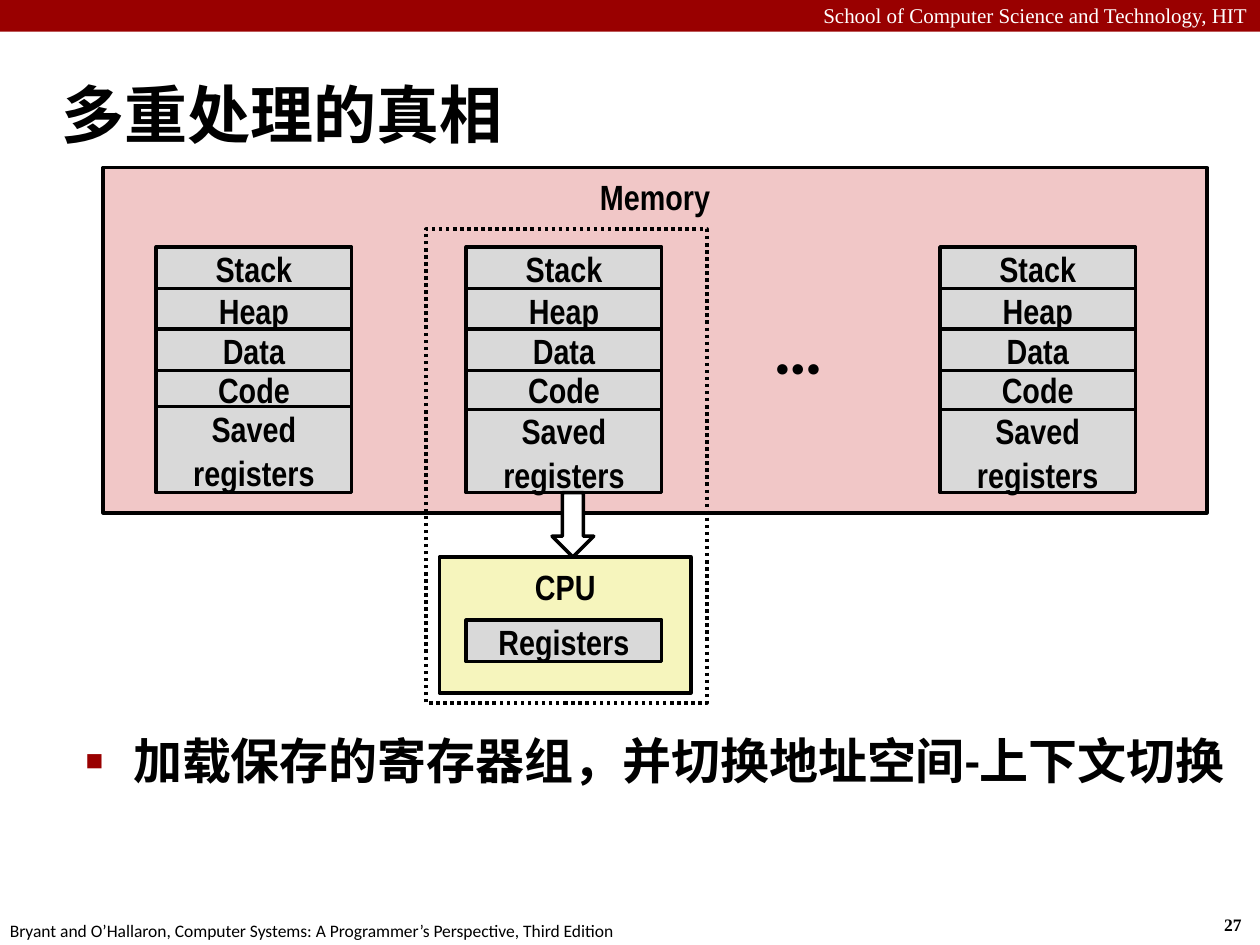
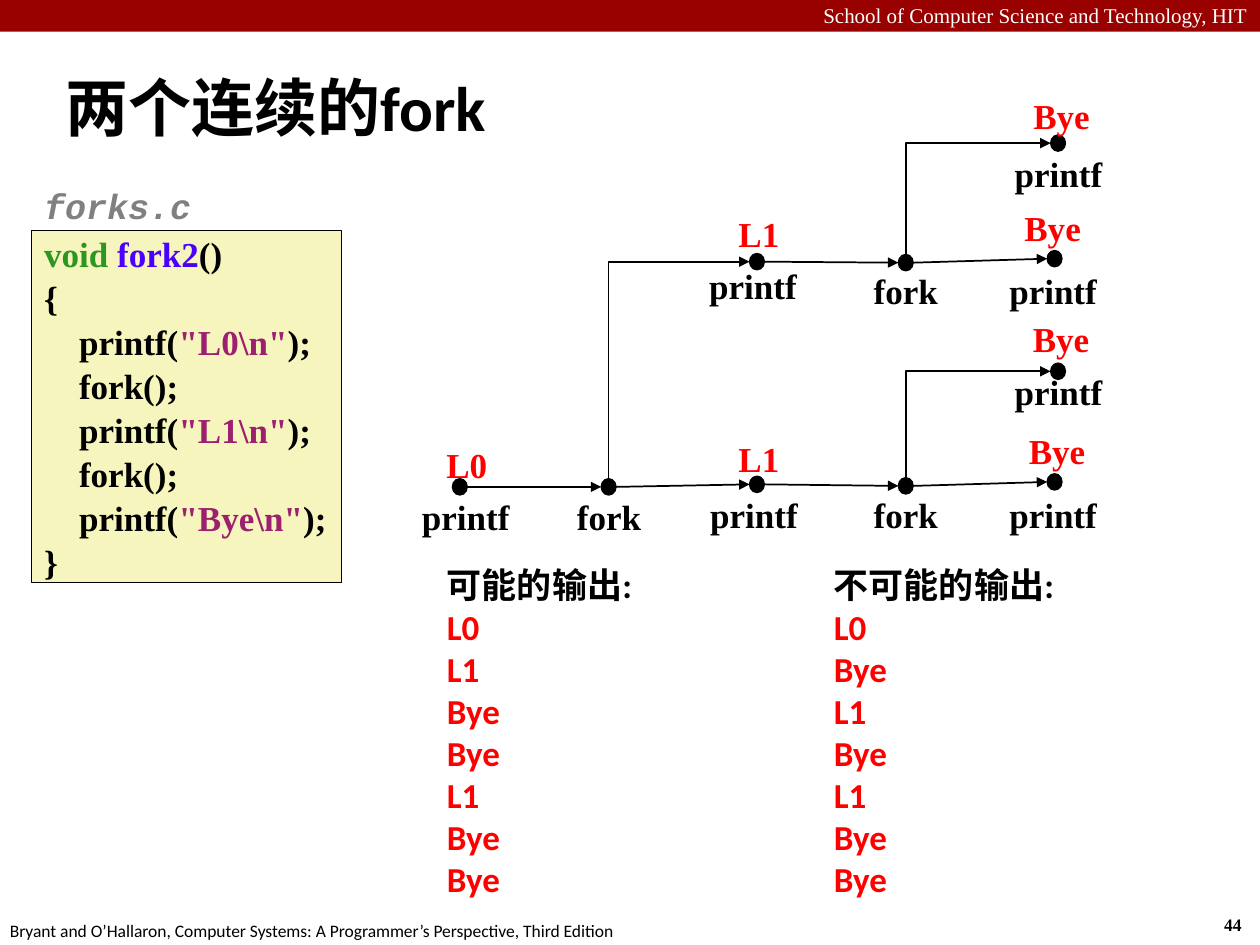
from dataclasses import dataclass

from lxml.etree import SubElement
from pptx import Presentation
from pptx.dml.color import RGBColor
from pptx.enum.dml import MSO_LINE_DASH_STYLE as Dash
from pptx.enum.shapes import MSO_CONNECTOR as Connector, MSO_SHAPE as Shape
from pptx.enum.text import MSO_ANCHOR as Anchor, MSO_AUTO_SIZE as AutoSize, PP_ALIGN as Align
from pptx.oxml.ns import qn
from pptx.util import Cm, Pt


@dataclass(frozen=True)
class Theme:
    band: str = "990000"
    ink: str = "000000"
    paper: str = "FFFFFF"
    memory: str = "F1C7C7"
    cell: str = "D9D9D9"
    cream: str = "F6F5BD"
    output: str = "FF0000"
    keyword: str = "2D961E"
    function: str = "4A00FF"
    string: str = "9D206F"
    caption: str = "808080"
    sans: str = "Calibri"
    narrow: str = "Arial Narrow"
    serif: str = "Times New Roman"
    mono: str = "Courier New"
    title_size: int = 36
    body_size: int = 28
    dots_size: int = 40
    text_size: int = 20
    header_size: int = 12
    footer_size: int = 10


theme = Theme()


def style_text(box, font, size, color=theme.ink, align=Align.LEFT, bold=True, spacing=None):
    box.text_frame.word_wrap = True
    for para in box.text_frame.paragraphs:
        para.alignment = align
        para.line_spacing = spacing
        for span in para.runs:
            span.font.name = font
            span.font.size = Pt(size)
            span.font.bold = bold
            span.font.color.rgb = RGBColor.from_string(color)


def add_box(page, kind, left, top, width, height, fill=None, line_width=2.0, text="", anchor=Anchor.MIDDLE):
    box = page.shapes.add_shape(kind, Cm(left), Cm(top), Cm(width), Cm(height))
    box.shadow.inherit = False
    if fill:
        box.fill.solid()
        box.fill.fore_color.rgb = RGBColor.from_string(fill)
    else:
        box.fill.background()
    if line_width:
        box.line.color.rgb = RGBColor.from_string(theme.ink)
        box.line.width = Pt(line_width)
    else:
        box.line.fill.background()
    if text:
        box.text_frame.text = text
        box.text_frame.vertical_anchor = anchor
        style_text(box, theme.narrow, theme.text_size, align=Align.CENTER, spacing=1.05)
    return box


deck = Presentation()
deck.slide_width, deck.slide_height = Cm(25.4), Cm(19.05)

pages = []
for layout, number, title, left, top, width, height in (
    (1, "27", "多重处理的真相", 0.99, 1.22, 23.57, 2.11),
    (5, "44", "两个连续的fork", 1.07, 0.84, 23.7, 2.62),
):
    page = deck.slides.add_slide(deck.slide_layouts[layout])
    pages.append(page)
    add_box(page, Shape.RECTANGLE, 0, 0, 25.4, 0.64, theme.band, 0)
    for text, x, y, w, font, size, color, align, bold in (
        ("School of Computer Science and Technology, HIT", 0, -0.08, 25.4,
         theme.serif, theme.header_size, theme.paper, Align.RIGHT, False),
        (number, 24.43, 18.31, 0.94,
         theme.serif, theme.footer_size, theme.ink, Align.LEFT, True),
        ("Bryant and O’Hallaron, Computer Systems: A Programmer’s Perspective, Third Edition",
         -0.05, 18.42, 13.2, theme.sans, theme.footer_size, theme.ink, Align.LEFT, False),
    ):
        box = page.shapes.add_textbox(Cm(x), Cm(y), Cm(w), Cm(0.69))
        box.text_frame.text = text
        style_text(box, font, size, color, align, bold)

    heading = page.shapes.title
    heading.left, heading.top, heading.width, heading.height = Cm(left), Cm(top), Cm(width), Cm(height)
    heading.text_frame.text = title
    heading.text_frame.auto_size = AutoSize.NONE
    heading.text_frame.vertical_anchor = Anchor.MIDDLE
    style_text(heading, theme.sans, theme.title_size)

memory_page, fork_page = pages

body = memory_page.placeholders[1]
body.left, body.top, body.width, body.height = Cm(1.47), Cm(14.6), Cm(23.7), Cm(2.6)
body.text_frame.text = "加载保存的寄存器组，并切换地址空间-上下文切换"
body.text_frame.auto_size = AutoSize.NONE
para = body.text_frame.paragraphs[0]
para.space_before = Pt(0)
properties = para._p.get_or_add_pPr()
properties.set("marL", str(Cm(0.96)))
properties.set("indent", str(-Cm(0.96)))
SubElement(SubElement(properties, qn("a:buClr")), qn("a:srgbClr")).set("val", theme.band)
SubElement(properties, qn("a:buSzPct")).set("val", "60000")
SubElement(properties, qn("a:buChar")).set("char", "■")
style_text(body, theme.sans, theme.body_size)

add_box(memory_page, Shape.RECTANGLE, 8.86, 11.23, 5.07, 2.74, theme.cream, text="CPU", anchor=Anchor.TOP)
add_box(memory_page, Shape.RECTANGLE, 9.4, 12.5, 3.94, 0.84, theme.cell, text="Registers")
add_box(memory_page, Shape.RECTANGLE, 2.08, 3.38, 22.25, 6.96, theme.memory, text="Memory", anchor=Anchor.TOP)
for left, saved_top in ((3.15, 8.2), (9.4, 8.26), (18.95, 8.26)):
    for section, top, bottom in (
        ("Stack", 4.98, 5.82),
        ("Heap", 5.82, 6.66),
        ("Code", 7.42, 8.26),
        ("Data", 6.63, 7.47),
        ("Saved registers", saved_top, 9.93),
    ):
        add_box(memory_page, Shape.RECTANGLE, left, top, 3.94, bottom - top, theme.cell, text=section)
active = add_box(memory_page, Shape.RECTANGLE, 8.59, 4.62, 5.66, 9.55)
active.line.dash_style = Dash.ROUND_DOT
dots = memory_page.shapes.add_textbox(Cm(15.34), Cm(6.02), Cm(1.9), Cm(1.96))
dots.text_frame.text = "…"
style_text(dots, theme.sans, theme.dots_size)
add_box(memory_page, Shape.DOWN_ARROW, 11.13, 9.93, 0.84, 1.3, theme.paper)

file_name = fork_page.shapes.add_textbox(Cm(0.64), Cm(3.66), Cm(6.25), Cm(1.07))
file_name.text_frame.text = "forks.c"
style_text(file_name, theme.mono, theme.text_size, theme.caption, spacing=0.94)
file_name.text_frame.paragraphs[0].runs[0].font.italic = True

code = add_box(fork_page, Shape.RECTANGLE, 0.64, 4.65, 6.25, 7.09, theme.cream, 0.25)
code_lines = [
    [("void ", theme.keyword), ("fork2", theme.function), ("()", theme.ink)],
    [("{", theme.ink)],
]
for printed in ('"L0\\n"', '"L1\\n"', '"Bye\\n"'):
    code_lines.append([("    printf(", theme.ink), (printed, theme.string), (");", theme.ink)])
    code_lines.append([("    fork();", theme.ink)])
code_lines[-1] = [("}", theme.ink)]
for index, line in enumerate(code_lines):
    para = code.text_frame.paragraphs[0] if index == 0 else code.text_frame.add_paragraph()
    for text, color in line:
        para.add_run().text = text
style_text(code, theme.serif, theme.text_size, spacing=1.05)
code.text_frame.word_wrap = False
for para, line in zip(code.text_frame.paragraphs, code_lines):
    for span, (text, color) in zip(para.runs, line):
        span.font.color.rgb = RGBColor.from_string(color)

dot_width, dot_height = 0.3, 0.33
nodes = {
    "start": (9.12, 9.65, ("printf", 9.39, 9.78), ("L0", 9.41, 8.74)),
    "first fork": (12.12, 9.65, ("fork", 12.28, 9.78), None),
    "parent L1": (15.11, 9.6, ("printf", 15.2, 9.75), ("L1", 15.3, 8.61)),
    "parent fork": (18.11, 9.63, ("fork", 18.26, 9.75), None),
    "parent Bye": (21.11, 9.55, ("printf", 21.23, 9.75), ("Bye", 21.31, 8.46)),
    "parent child Bye": (21.18, 7.32, ("printf", 21.34, 7.26), ("Bye", 21.39, 6.2)),
    "child L1": (15.11, 5.11, ("printf", 15.18, 5.13), ("L1", 15.3, 4.09)),
    "child fork": (18.11, 5.13, ("fork", 18.26, 5.23), None),
    "child Bye": (21.11, 5.05, ("printf", 21.23, 5.23), ("Bye", 21.22, 3.96)),
    "grandchild Bye": (21.18, 2.72, ("printf", 21.34, 2.87), ("Bye", 21.4, 1.7)),
}
for left, top, call, output in nodes.values():
    add_box(fork_page, Shape.OVAL, left, top, dot_width, dot_height, theme.ink, 0.75)
    for label, color in ((call, theme.ink), (output, theme.output)):
        if label:
            text, center, label_top = label
            box = fork_page.shapes.add_textbox(Cm(center - 1.5), Cm(label_top), Cm(3), Cm(1.4))
            box.text_frame.text = text
            box.text_frame.margin_top = Cm(0.2)
            style_text(box, theme.serif, theme.text_size, color, Align.CENTER)

for source, target, bent in (
    ("start", "first fork", False),
    ("first fork", "parent L1", False),
    ("parent L1", "parent fork", False),
    ("parent fork", "parent Bye", False),
    ("child L1", "child fork", False),
    ("child fork", "child Bye", False),
    ("first fork", "child L1", True),
    ("parent fork", "parent child Bye", True),
    ("child fork", "grandchild Bye", True),
):
    source_left, source_top = nodes[source][:2]
    target_left, target_top = nodes[target][:2]
    start_x = source_left + (dot_width / 2 if bent else dot_width)
    start_y = source_top + (0 if bent else dot_height / 2)
    arrow = fork_page.shapes.add_connector(
        Connector.ELBOW if bent else Connector.STRAIGHT,
        Cm(target_left), Cm(target_top + dot_height / 2), Cm(start_x), Cm(start_y),
    )
    arrow.line.color.rgb = RGBColor.from_string(theme.ink)
    arrow.line.width = Pt(1)
    outline = arrow.line._get_or_add_ln()
    SubElement(outline, qn("a:headEnd")).set("type", "triangle")
    geometry = arrow._element.spPr
    SubElement(geometry, qn("a:effectLst"))
    if bent:
        geometry.find(qn("a:prstGeom")).set("prst", "bentConnector2")

for left, outcome in (
    (8.76, ("可能的输出:", "L0", "L1", "Bye", "Bye", "L1", "Bye", "Bye")),
    (16.56, ("不可能的输出:", "L0", "Bye", "L1", "Bye", "L1", "Bye", "Bye")),
):
    box = fork_page.shapes.add_textbox(Cm(left), Cm(11.23), Cm(5.6), Cm(7.09))
    box.text_frame.text = "\n".join(outcome)
    style_text(box, theme.sans, theme.text_size, theme.output)
    box.text_frame.paragraphs[0].runs[0].font.color.rgb = RGBColor.from_string(theme.ink)

deck.save("out.pptx")
